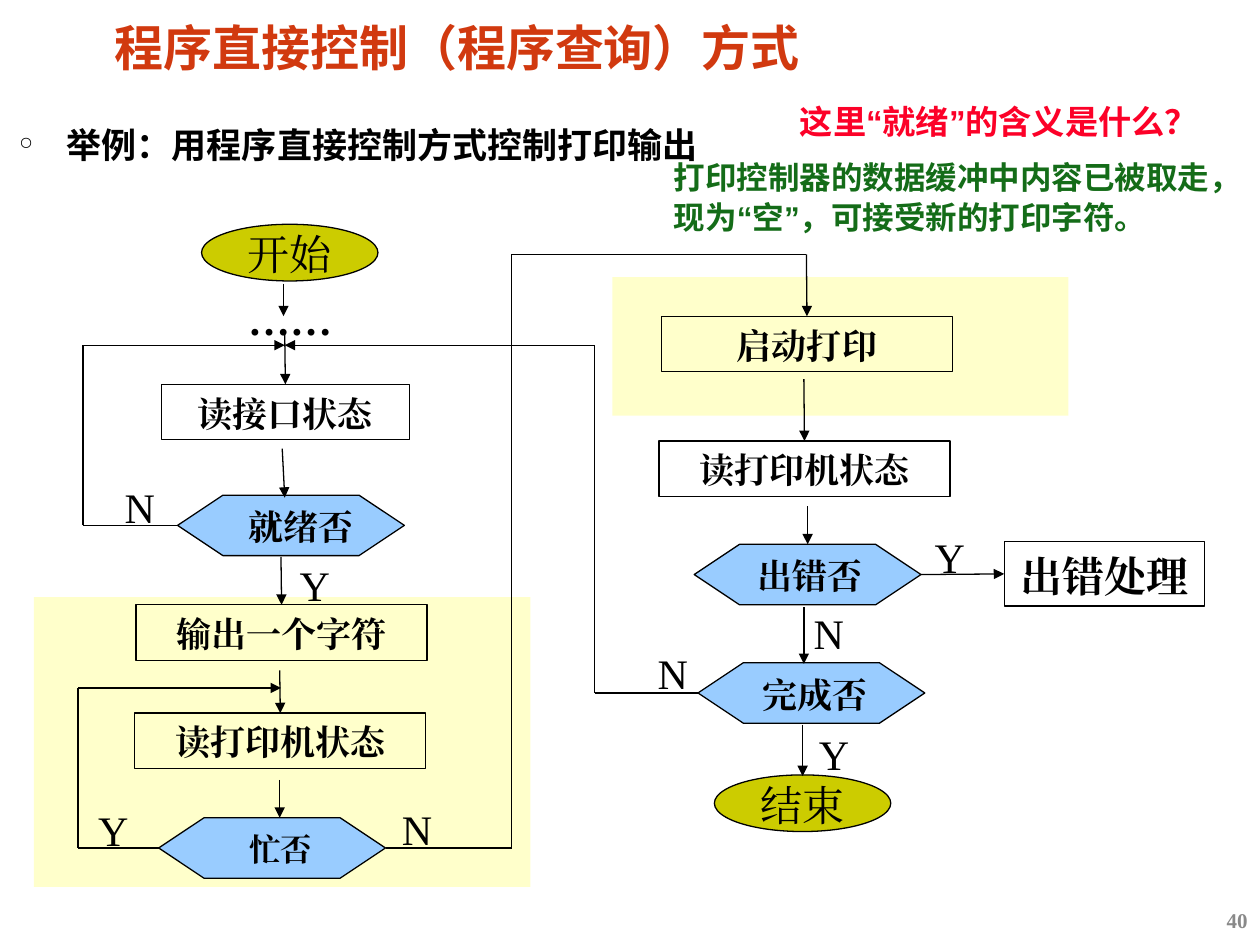
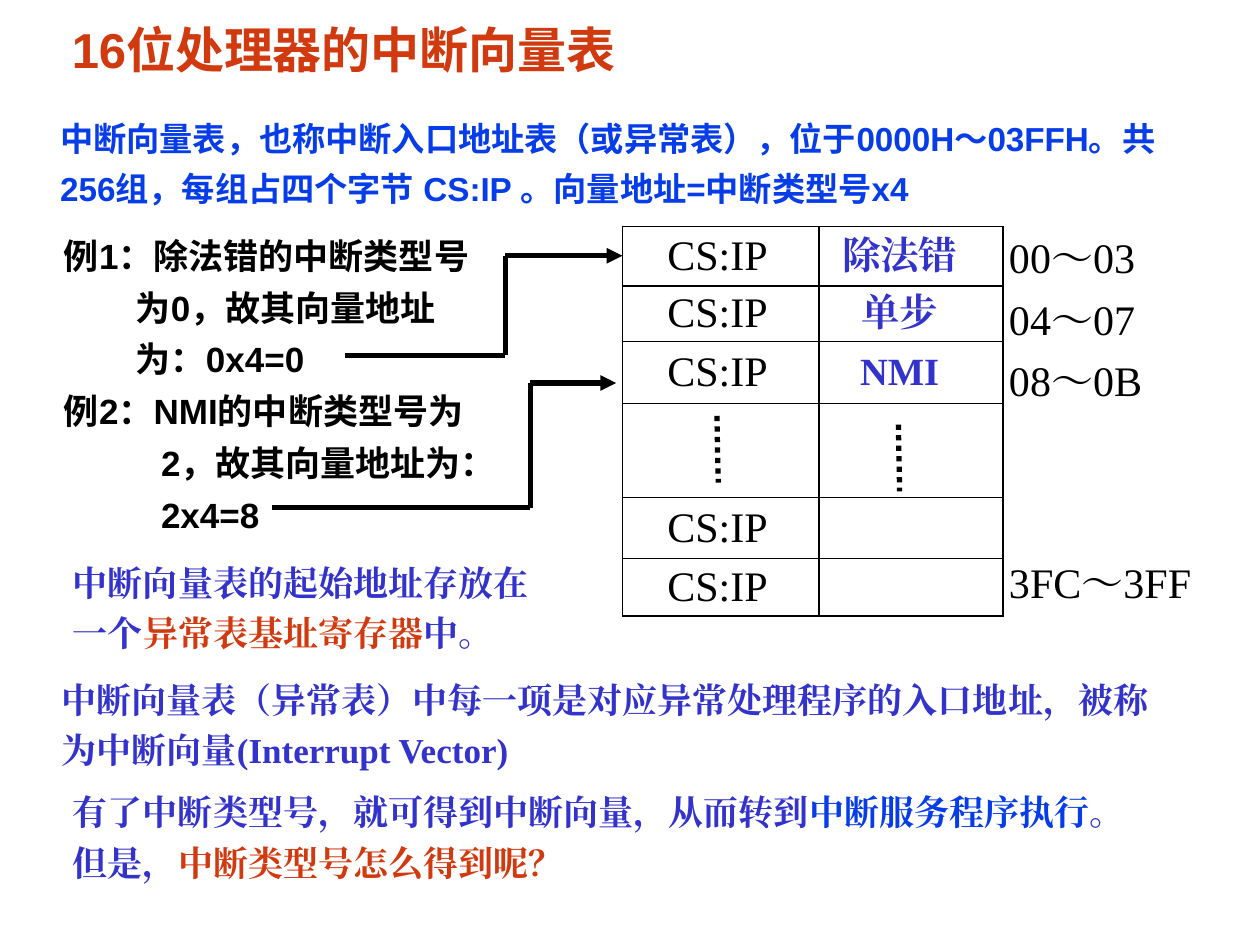
from dataclasses import dataclass
from itertools import pairwise

from lxml.etree import SubElement
from pptx import Presentation
from pptx.dml.color import RGBColor
from pptx.enum.dml import MSO_LINE as Dash
from pptx.enum.shapes import MSO_CONNECTOR as Link, MSO_SHAPE as Kind
from pptx.enum.text import MSO_ANCHOR as Anchor, PP_ALIGN as Align
from pptx.oxml.ns import qn
from pptx.util import Inches, Pt


@dataclass(frozen=True)
class Theme:
    black: str = "000000"
    rust: str = "D1390F"
    red: str = "FC0128"
    green: str = "146C18"
    blue: str = "063DE8"
    indigo: str = "3333CC"
    gray: str = "898989"
    olive: str = "CCCC00"
    sky: str = "99CCFF"
    cream: str = "FFFF99"
    sans: str = "Arial"
    serif: str = "Times New Roman"
    cjk: str = "Noto Sans CJK SC"
    title: float = 28
    large: float = 24
    cell: float = 22
    body: float = 20
    lead: float = 19
    note: float = 18
    foot: float = 12
    thin: float = 0.75
    thick: float = 3


T = Theme()


@dataclass(frozen=True)
class Style:
    size: float
    color: str = T.black
    bold: bool = True
    font: str = T.serif
    align: Align = Align.LEFT
    lines: float = 1.05
    gap: float = 0


@dataclass(frozen=True)
class Node:
    kind: Kind
    x: float
    y: float
    w: float
    h: float
    text: str
    style: Style
    fill: str | None = None
    nudge: float = 0


@dataclass(frozen=True)
class Label:
    x: float
    y: float
    text: str


Runs = list[tuple[str, str]]
Point = tuple[float, float]

LARGE = Style(T.large, bold=False)
MID = Style(T.body, align=Align.CENTER)
PURPLE = Style(T.body, T.indigo, lines=1.2)


def rgb(color: str) -> RGBColor:
    return RGBColor.from_string(color)


def box(x: float, y: float, w: float, h: float) -> list[int]:
    return [Inches(v) for v in (x, y, w, h)]


def dress(para, style: Style) -> None:
    """Format a paragraph and those of its runs that have no colour yet."""
    para.alignment = style.align
    para.line_spacing = style.lines
    for run in para.runs:
        font = run.font
        font.size, font.bold, font.name = Pt(style.size), style.bold, style.font
        if font.color.type is None:
            font.color.rgb = rgb(style.color)
        SubElement(font._element, qn("a:ea"), typeface=style.font)


def write(slide, x: float, y: float, w: float, h: float,
          paras: list[str | Runs], style: Style, anchor: Anchor = Anchor.TOP):
    frame = slide.shapes.add_textbox(*box(x, y, w, h)).text_frame
    frame.word_wrap = True
    frame.vertical_anchor = anchor
    for i, text in enumerate(paras):
        para = frame.add_paragraph() if i else frame.paragraphs[0]
        if i:
            para.space_before = Pt(style.gap)
        if isinstance(text, str):
            para.text = text
        else:
            for part, color in text:
                run = para.add_run()
                run.text = part
                run.font.color.rgb = rgb(color)
        dress(para, style)
    return frame


def head(slide, x: float, y: float, text: str, font: str) -> None:
    style = Style(T.title, T.rust, font=font, lines=1)
    frame = write(slide, x, y, 8.5, 0.46, [text], style, Anchor.MIDDLE)
    frame.margin_left = Inches(0.07)
    frame.margin_top = frame.margin_bottom = Inches(0.03)


def panel(slide, x: float, y: float, w: float, h: float) -> None:
    """Draw a half-transparent cream area."""
    shape = slide.shapes.add_shape(Kind.RECTANGLE, *box(x, y, w, h))
    shape.shadow.inherit = False
    shape.fill.solid()
    shape.fill.fore_color.rgb = rgb(T.cream)
    tint = shape.fill._xPr.find(".//" + qn("a:srgbClr"))
    SubElement(tint, qn("a:alpha"), val="50000")
    shape.line.fill.background()


def draw(slide, node: Node):
    shape = slide.shapes.add_shape(node.kind, *box(node.x, node.y, node.w, node.h))
    shape.shadow.inherit = False
    if node.fill:
        shape.fill.solid()
        shape.fill.fore_color.rgb = rgb(node.fill)
    else:
        shape.fill.background()
    shape.line.color.rgb = rgb(T.black)
    shape.line.width = Pt(T.thin)
    frame = shape.text_frame
    frame.word_wrap = False
    frame.vertical_anchor = Anchor.MIDDLE
    frame.margin_left = Inches(2 * node.nudge)
    frame.margin_right = frame.margin_top = frame.margin_bottom = 0
    frame.text = node.text
    dress(frame.paragraphs[0], node.style)
    return shape


def dock(shapes: list, point: Point):
    """Find the shape and side whose middle lies at the point."""
    px, py = (Inches(v) for v in point)
    for shape in shapes:
        left, top, w, h = shape.left, shape.top, shape.width, shape.height
        mids = ((left + w // 2, top), (left, top + h // 2),
                (left + w // 2, top + h), (left + w, top + h // 2))
        for side, (mx, my) in enumerate(mids):
            if max(abs(mx - px), abs(my - py)) < Inches(0.02):
                return shape, side
    return None


def trace(slide, points: list[Point], width: float = T.thin, arrow: bool = True,
          dash: Dash | None = None, docks: list | None = None) -> None:
    """Join the points by straight lines, with an arrowhead at the last."""
    for start, end in pairwise(points):
        ends = [Inches(v) for v in (*start, *end)]
        line = slide.shapes.add_connector(Link.STRAIGHT, *ends)
        for point, join in ((start, line.begin_connect), (end, line.end_connect)):
            if spot := dock(docks or [], point):
                join(*spot)
        line.line.color.rgb = rgb(T.black)
        line.line.width = Pt(width)
        if dash:
            line.line.dash_style = dash
        if arrow and end == points[-1]:
            SubElement(line.line._get_or_add_ln(), qn("a:tailEnd"), type="triangle")
        SubElement(line._element.spPr, qn("a:effectLst"))


def rect(x: float, y: float, w: float, text: str) -> Node:
    return Node(Kind.RECTANGLE, x, y, w, 0.44, text, MID)


def test(x: float, y: float, text: str, nudge: float, size: float = T.body) -> Node:
    style = Style(size, align=Align.CENTER)
    return Node(Kind.FLOWCHART_PREPARATION, x, y, 1.8, 0.48, text, style, T.sky, nudge)


def oval(x: float, y: float, text: str) -> Node:
    style = Style(T.large, bold=False, align=Align.CENTER)
    return Node(Kind.OVAL, x, y, 1.4, 0.45, text, style, T.olive)


def flow(slide) -> None:
    panel(slide, 4.86, 2.2, 3.62, 1.1)
    panel(slide, 0.27, 4.74, 3.94, 2.3)
    head(slide, 0.84, 0.14, "程序直接控制（程序查询）方式", T.cjk)

    frame = write(slide, 0.08, 0.87, 6, 0.45, ["举例：用程序直接控制方式控制打印输出"],
                  Style(T.body, font=T.sans, lines=1.25))
    frame.margin_left = frame.margin_right = Inches(0.07)
    frame.margin_top = Inches(0.03)
    props = frame.paragraphs[0]._p.get_or_add_pPr()
    props.set("marL", str(Inches(0.38)))
    props.set("indent", str(-Inches(0.38)))
    SubElement(props, qn("a:buChar"), char="°")

    nodes = [
        oval(1.6, 1.78, "开始"),
        rect(1.28, 3.05, 1.97, "读接口状态"),
        test(1.41, 3.93, "就绪否", 0.08),
        rect(1.08, 4.8, 2.31, "输出一个字符"),
        rect(1.07, 5.66, 2.31, "读打印机状态"),
        test(1.26, 6.49, "忙否", 0.07, T.note),
        rect(5.25, 2.51, 2.31, "启动打印"),
        rect(5.23, 3.5, 2.31, "读打印机状态"),
        test(5.51, 4.32, "出错否", 0.02),
        test(5.54, 5.26, "完成否", 0.03),
        oval(5.67, 6.15, "结束"),
        Node(Kind.RECTANGLE, 7.97, 4.3, 1.59, 0.51, "出错处理",
             Style(T.large, align=Align.CENTER)),
    ]
    shapes = [draw(slide, node) for node in nodes]
    docks = [s for s, node in zip(shapes, nodes) if node.kind != Kind.OVAL]

    paths = [
        [(2.25, 2.25), (2.25, 2.51)],
        [(2.26, 2.65), (2.26, 3.05)],
        [(2.24, 3.56), (2.26, 3.95)],
        [(2.23, 4.42), (2.23, 4.8)],
        [(2.22, 5.32), (2.22, 5.66)],
        [(2.22, 6.19), (2.22, 6.49)],
        [(6.38, 3.01), (6.38, 3.5)],
        [(6.41, 4.02), (6.41, 4.32)],
        [(6.38, 4.82), (6.38, 5.27)],
        [(6.37, 5.75), (6.37, 6.16)],
        [(7.31, 4.56), (7.97, 4.56)],
        [(1.41, 4.17), (0.66, 4.17), (0.66, 2.74), (2.26, 2.74)],
        [(5.54, 5.5), (4.72, 5.5), (4.72, 2.74), (2.26, 2.74)],
        [(1.26, 6.73), (0.62, 6.73), (0.62, 5.46), (2.23, 5.46)],
        [(3.06, 6.73), (4.06, 6.73), (4.06, 2.02), (6.4, 2.02), (6.4, 2.51)],
    ]
    for points in paths:
        trace(slide, points, docks=docks)

    labels = [Label(0.89, 3.75, "N"), Label(2.28, 4.37, "Y"), Label(3.09, 6.31, "N"),
              Label(0.68, 6.32, "Y"), Label(6.4, 5.71, "Y"), Label(5.12, 5.07, "N"),
              Label(6.36, 4.75, "N"), Label(7.32, 4.15, "Y")]
    for label in labels:
        write(slide, label.x, label.y, 0.59, 0.5, [label.text], LARGE)
    write(slide, 1.87, 2.26, 1.19, 0.5, ["……"], Style(T.large))
    write(slide, 6.25, 0.74, 3.75, 0.42, ["这里“就绪”的含义是什么？"],
          Style(T.lead, T.red, font=T.sans))
    write(slide, 5.25, 1.19, 4.75, 0.71,
          ["打印控制器的数据缓冲中内容已被取走，现为“空”，可接受新的打印字符。"],
          Style(T.note, T.green, font=T.sans))
    write(slide, 7.75, 7.1, 2.25, 0.4, ["40"],
          Style(T.foot, T.gray, align=Align.RIGHT), Anchor.MIDDLE)


def grid(slide) -> None:
    """Draw the vector table with thin black borders."""
    rows = [("CS:IP", "除法错"), ("CS:IP", "单步"), ("CS:IP", "NMI"),
            ("", ""), ("CS:IP", ""), ("CS:IP", "")]
    highs = (0.47, 0.44, 0.49, 0.75, 0.48, 0.46)
    styles = (Style(T.large, bold=False, align=Align.CENTER, lines=1),
              Style(T.cell, T.indigo, align=Align.CENTER, lines=1))
    table = slide.shapes.add_table(len(rows), 2, *box(4.94, 1.8, 3.02, sum(highs))).table
    table.first_row = table.horz_banding = False
    for col, wide in zip(table.columns, (1.56, 1.46)):
        col.width = Inches(wide)
    for r, (row, high) in enumerate(zip(rows, highs)):
        table.rows[r].height = Inches(high)
        for c, (text, style) in enumerate(zip(row, styles)):
            cell = table.cell(r, c)
            cell.text = text
            cell.vertical_anchor = Anchor.MIDDLE
            cell.margin_left = cell.margin_top = cell.margin_bottom = 0
            cell.margin_right = Inches(0.05 + 0.13 * c)
            dress(cell.text_frame.paragraphs[0], style)
            props = cell._tc.get_or_add_tcPr()
            for side in ("lnL", "lnR", "lnT", "lnB"):
                edge = SubElement(props, qn("a:" + side), w=str(Pt(T.thin)))
                fill = SubElement(edge, qn("a:solidFill"))
                SubElement(fill, qn("a:srgbClr"), val=T.black)
            cell.fill.background()


def vectors(slide) -> None:
    head(slide, 0.5, 0.16, "16位处理器的中断向量表", T.sans)
    write(slide, 0.38, 0.81, 9.04, 0.86,
          ["中断向量表，也称中断入口地址表（或异常表），位于0000H～03FFH。"
           "共256组，每组占四个字节 CS:IP 。向量地址=中断类型号x4"],
          Style(T.lead, T.blue, font=T.sans, lines=1.25))
    grid(slide)
    for x, y in ((5.69, 3.3), (7.13, 3.37)):
        trace(slide, [(x, y), (x + 0.01, y + 0.53)], T.thick, False, Dash.ROUND_DOT)

    frame = write(slide, 0.41, 1.76, 3.67, 2.46,
                  ["例1：除法错的中断类型号", "为0，故其向量地址", "为：0x4=0",
                   "例2：NMI的中断类型号为", "2，故其向量地址为：", "2x4=8"],
                  Style(T.body, font=T.sans, lines=1.15, gap=2))
    for para, indent in zip(frame.paragraphs, (0, 0.57, 0.57, 0, 0.77, 0.77)):
        para._p.get_or_add_pPr().set("marL", str(Inches(indent)))
    trace(slide, [(2.74, 2.82), (4.01, 2.82), (4.01, 2.03), (4.94, 2.03)], T.thick)
    trace(slide, [(2.16, 4.03), (4.21, 4.03), (4.21, 3.04), (4.89, 3.04)], T.thick)

    frame = write(slide, 7.91, 1.77, 1.7, 3.1, ["00～03", "04～07", "08～0B", "3FC～3FF"],
                  Style(T.large, bold=False, gap=5))
    frame.paragraphs[-1].space_before = Pt(85)

    write(slide, 0.48, 4.34, 4.05, 0.87,
          [[("中断向量表的起始地址存放在一个", T.indigo), ("异常表基址寄存器", T.rust),
            ("中。", T.indigo)]], PURPLE)
    write(slide, 0.39, 5.27, 9.03, 0.87,
          ["中断向量表（异常表）中每一项是对应异常处理程序的入口地址，"
           "被称为中断向量(Interrupt Vector)"], PURPLE)
    write(slide, 0.48, 6.16, 8.97, 0.87,
          [[("有了中断类型号，就可得到中断向量，从而转到", T.indigo),
            ("中断服务程序执行", T.blue), ("。", T.indigo)],
           [("但是，", T.indigo), ("中断类型号怎么得到呢？", T.rust)]], PURPLE)


def main() -> None:
    deck = Presentation()
    deck.slide_width, deck.slide_height = Inches(10), Inches(7.5)
    for build in (flow, vectors):
        build(deck.slides.add_slide(deck.slide_layouts[6]))
    deck.save("out.pptx")


if __name__ == "__main__":
    main()
